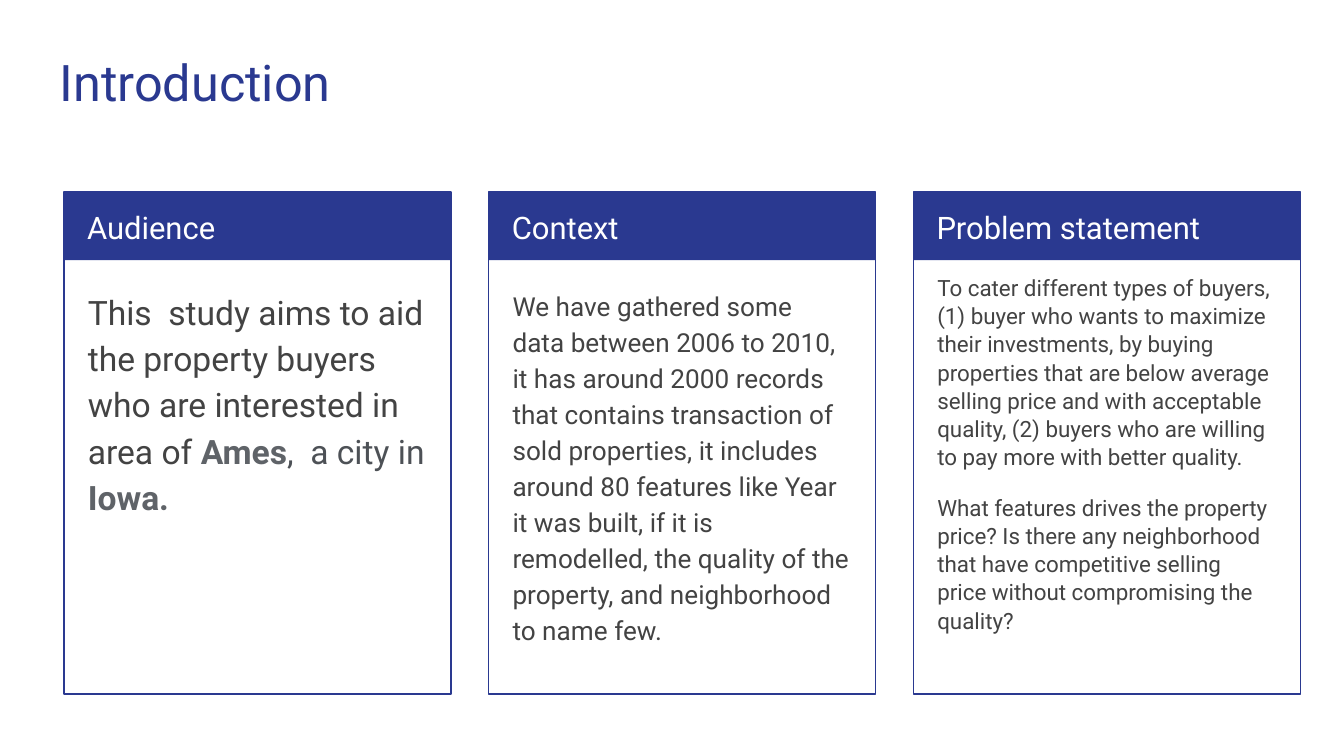
from dataclasses import dataclass
from typing import NamedTuple

from pptx import Presentation
from pptx.dml.color import RGBColor
from pptx.enum.shapes import MSO_SHAPE as Shape
from pptx.enum.text import MSO_ANCHOR as Anchor
from pptx.util import Pt

PX = 4572
CARD_PITCH = 632


class Box(NamedTuple):
    """A rectangle in px, at 200 px to the inch."""
    left: int
    top: int
    width: int
    height: int

    def inner(self, left, top, width, height):
        """Return a box placed relative to this one."""
        return Box(self.left + left, self.top + top, width, height)

    def emu(self):
        """Return the four lengths in EMU."""
        return [length * PX for length in self]


@dataclass(frozen=True)
class Theme:
    """Colours, font and type sizes of the slide."""
    font: str = "Roboto"
    accent: str = "2A3990"
    white: str = "FFFFFF"
    text: str = "434343"
    strong: str = "5F6368"
    muted: str = "4D5156"
    title_size: float = 27
    heading_size: float = 16.6
    large_size: float = 18
    medium_size: float = 14
    small_size: float = 12
    paragraph_gap: float = 12
    border: float = 0.75


THEME = Theme()


@dataclass(frozen=True)
class Card:
    """Wording and text settings of one card."""
    heading: str
    paragraphs: list
    size: float
    spacing: float = 1.15
    body_top: int = 119


CARDS = [
    Card("Audience", [[
        ("This  study aims to aid the property buyers who are interested in area of ", THEME.text, False),
        ("Ames", THEME.strong, True),
        (",  a city in ", THEME.muted, False),
        ("Iowa.", THEME.strong, True),
    ]], THEME.large_size),
    Card("Context", [[
        ("We have gathered some data between 2006 to 2010, it has around 2000 records "
         "that contains transaction of sold properties, it includes around 80 features "
         "like Year it was built, if it is remodelled, the quality of the property, "
         "and neighborhood to name few.", THEME.text, False),
    ]], THEME.medium_size),
    Card("Problem statement", [
        [("To cater different types of buyers, (1) buyer who wants to maximize their "
          "investments, by buying properties that are below average selling price and "
          "with acceptable quality, (2) buyers who are willing to pay more with better "
          "quality.", THEME.text, False)],
        [("What features drives the property price? Is there any neighborhood that have "
          "competitive selling price without compromising the quality?", THEME.text, False)],
    ], THEME.small_size, spacing=1.05, body_top=100),
]


def add_text(slide, box, paragraphs, size, spacing=1.0, anchor=Anchor.TOP):
    """Add a wrapped text box from paragraphs of (text, colour, bold) runs."""
    frame = slide.shapes.add_textbox(*box.emu()).text_frame
    frame.word_wrap = True
    frame.vertical_anchor = anchor
    frame.margin_left = frame.margin_right = 20 * PX
    frame.margin_top = frame.margin_bottom = 20 * PX
    for index, runs in enumerate(paragraphs):
        paragraph = frame.add_paragraph() if index else frame.paragraphs[0]
        paragraph.line_spacing = spacing
        if index:
            paragraph.space_before = Pt(THEME.paragraph_gap)
        for text, color, bold in runs:
            run = paragraph.add_run()
            run.text = text
            run.font.name = THEME.font
            run.font.size = Pt(size)
            run.font.bold = bold
            run.font.color.rgb = RGBColor.from_string(color)


def add_rectangle(slide, box, filled):
    """Add an accent rectangle, either filled or only outlined."""
    shape = slide.shapes.add_shape(Shape.RECTANGLE, *box.emu())
    shape.shadow.inherit = False
    accent = RGBColor.from_string(THEME.accent)
    if filled:
        shape.fill.solid()
        shape.fill.fore_color.rgb = accent
        shape.line.fill.background()
    else:
        shape.fill.background()
        shape.line.color.rgb = accent
        shape.line.width = Pt(THEME.border)


def add_title(slide, box, text):
    """Add the slide title."""
    add_text(slide, box, [[(text, THEME.accent, False)]], THEME.title_size)


def add_card(slide, box, card):
    """Add a bordered card with a filled heading band and body text."""
    add_rectangle(slide, box.inner(0, 0, box.width, 101), filled=True)
    add_rectangle(slide, box, filled=False)
    add_text(slide, box.inner(15, 0, 546, 100), [[(card.heading, THEME.white, False)]],
             THEME.heading_size, 1.05, Anchor.MIDDLE)
    add_text(slide, box.inner(16, card.body_top, 542, 612), card.paragraphs,
             card.size, card.spacing)


def main():
    """Build and save the presentation."""
    presentation = Presentation()
    presentation.slide_width = 2000 * PX
    presentation.slide_height = 1125 * PX
    slide = presentation.slides.add_slide(presentation.slide_layouts[6])
    add_title(slide, Box(69, 56, 1864, 132), "Introduction")
    for index, card in enumerate(CARDS):
        add_card(slide, Box(95 + index * CARD_PITCH, 286, 576, 747), card)
    presentation.save("out.pptx")


if __name__ == "__main__":
    main()
